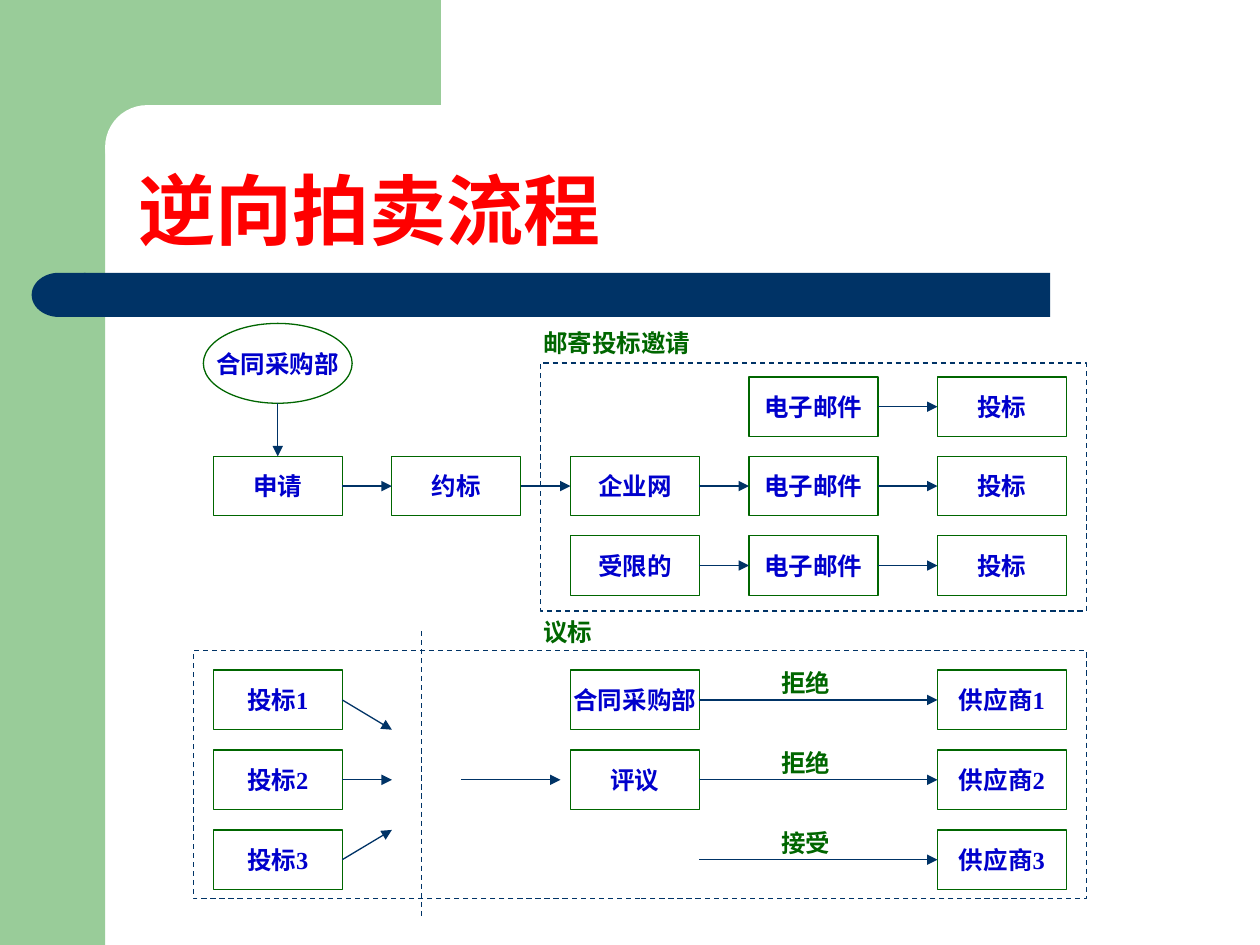
from lxml.etree import SubElement
from pptx import Presentation
from pptx.dml.color import RGBColor
from pptx.enum.dml import MSO_LINE_DASH_STYLE as Dash
from pptx.enum.shapes import MSO_CONNECTOR_TYPE as Link, MSO_SHAPE as Kind
from pptx.enum.text import MSO_ANCHOR as Anchor, PP_ALIGN as Align
from pptx.oxml.ns import qn
from pptx.util import Cm, Pt

COLORS = {
    "band": "99CC99", "navy": "003366", "white": "FFFFFF", "title": "FF0000",
    "node": "0000CC", "green": "006600",
}
COLUMNS = [4.3, 7.9, 11.5, 15.1, 18.9]
TOP_ROWS = [7.6, 9.2, 10.8]
BID_ROWS = [13.51, 15.12, 16.73]
NODE_WIDTH, NODE_HEIGHT = 2.6, 1.2


def color(name):
    """Return the named colour."""
    return RGBColor.from_string(COLORS[name])


def add_block(page, kind, left, top, width, height, fill=None):
    """Add a shape without outline or shadow."""
    shape = page.shapes.add_shape(kind, Cm(left), Cm(top), Cm(width), Cm(height))
    shape.shadow.inherit = False
    shape.line.fill.background()
    if fill:
        shape.fill.solid()
        shape.fill.fore_color.rgb = color(fill)
    else:
        shape.fill.background()
    return shape


def style_line(line, name, dashed=False):
    """Give a thin line its colour and dash."""
    line.color.rgb = color(name)
    line.width = Pt(0.75)
    if dashed:
        line.dash_style = Dash.DASH


def write(shape, text, size, font, name):
    """Put one bold paragraph into a shape."""
    shape.text_frame.text = text
    para = shape.text_frame.paragraphs[0]
    span = para.runs[0].font
    span.size, span.name, span.bold = Pt(size), font, True
    span.color.rgb = color(name)
    return para


def add_node(page, text, left, top, kind=Kind.RECTANGLE, width=NODE_WIDTH, height=NODE_HEIGHT):
    """Add an outlined step with centred text."""
    node = add_block(page, kind, left, top, width, height, "white")
    style_line(node.line, "green")
    write(node, text, 14, "Times New Roman", "node").alignment = Align.CENTER
    node.text_frame.vertical_anchor = Anchor.MIDDLE
    node.text_frame.word_wrap = False


def add_line(page, start, end, dashed=False):
    """Add a dashed divider or a solid arrow."""
    x1, y1, x2, y2 = (Cm(value) for value in (*start, *end))
    link = page.shapes.add_connector(Link.STRAIGHT, x1, y1, x2, y2)
    style_line(link.line, "navy", dashed)
    if not dashed:
        SubElement(link.line._get_or_add_ln(), qn("a:tailEnd"), type="triangle")
    SubElement(link._element.spPr, qn("a:effectLst"))


def add_frame(page, left, top, width, height):
    """Add a dashed group frame."""
    frame = add_block(page, Kind.RECTANGLE, left, top, width, height)
    style_line(frame.line, "navy", dashed=True)


def add_label(page, text, left, top):
    """Add a green caption."""
    box = page.shapes.add_textbox(Cm(left), Cm(top), Cm(4.4), Cm(0.86))
    box.text_frame.word_wrap = True
    write(box, text, 14, "Times New Roman", "green")


def add_backdrop(page):
    """Draw the green corner and the navy bar."""
    add_block(page, Kind.RECTANGLE, 0, 0, 2.12, 19.05, "band")
    add_block(page, Kind.RECTANGLE, 1.9, 0, 6.99, 2.96, "band")
    corner = add_block(page, Kind.ROUNDED_RECTANGLE, 2.12, 2.12, 14.18, 1.69, "white")
    corner.adjustments[0] = 0.5
    add_block(page, Kind.RECTANGLE, 1.69, 5.5, 19.48, 0.89, "navy")
    cap = add_block(page, Kind.FLOWCHART_DELAY, 0.64, 5.5, 1.09, 0.89, "navy")
    cap._element.spPr.xfrm.set("flipH", "1")


def add_title(page, text):
    """Add the slide heading."""
    box = page.shapes.add_textbox(Cm(2.54), Cm(2.12), Cm(22.23), Cm(3.17))
    box.text_frame.word_wrap = True
    box.text_frame.vertical_anchor = Anchor.BOTTOM
    write(box, text, 44, "Arial", "title").line_spacing = 0.9


def add_nodes(page):
    """Place the steps of both stages on the grid."""
    stages = [
        (TOP_ROWS, [
            ["", "", "", "电子邮件", "投标"],
            ["申请", "约标", "企业网", "电子邮件", "投标"],
            ["", "", "受限的", "电子邮件", "投标"],
        ]),
        (BID_ROWS, [
            ["投标1", "", "合同采购部", "", "供应商1"],
            ["投标2", "", "评议", "", "供应商2"],
            ["投标3", "", "", "", "供应商3"],
        ]),
    ]
    for tops, rows in stages:
        for top, row in zip(tops, rows):
            for left, text in zip(COLUMNS, row):
                if text:
                    add_node(page, text, left, top)
    add_node(page, "合同采购部", 4.1, 6.52, Kind.OVAL, 3.0, 1.61)


def add_arrows(page):
    """Connect the steps of both stages."""
    for top, first in zip(TOP_ROWS, (3, 0, 2)):
        middle = top + NODE_HEIGHT / 2
        for left, target in zip(COLUMNS[first:], COLUMNS[first + 1:]):
            add_line(page, (left + NODE_WIDTH, middle), (target, middle))
    for top, shift in zip(BID_ROWS, (0.6, 0, -0.6)):
        middle = top + NODE_HEIGHT / 2
        add_line(page, (COLUMNS[0] + NODE_WIDTH, middle), (COLUMNS[1], middle + shift))
        add_line(page, (COLUMNS[2] + NODE_WIDTH, middle), (COLUMNS[4], middle))
    center = BID_ROWS[1] + NODE_HEIGHT / 2
    add_line(page, (9.3, center), (11.3, center))
    add_line(page, (5.6, 8.13), (5.6, TOP_ROWS[1]))


def main():
    """Build the reverse auction slide."""
    deck = Presentation()
    deck.slide_width, deck.slide_height = Cm(25.4), Cm(19.05)
    page = deck.slides.add_slide(deck.slide_layouts[6])
    add_backdrop(page)
    add_title(page, "逆向拍卖流程")
    add_nodes(page)
    add_arrows(page)
    add_frame(page, 10.9, 7.32, 11, 5)
    add_frame(page, 3.9, 13.12, 18, 5)
    add_line(page, (8.5, 12.72), (8.5, 18.5), dashed=True)
    add_label(page, "邮寄投标邀请", 10.7, 6.48)
    add_label(page, "议标", 10.7, 12.32)
    for top, text in zip(BID_ROWS, ("拒绝", "拒绝", "接受")):
        add_label(page, text, 15.5, top - 0.17)
    deck.save("out.pptx")


if __name__ == "__main__":
    main()
